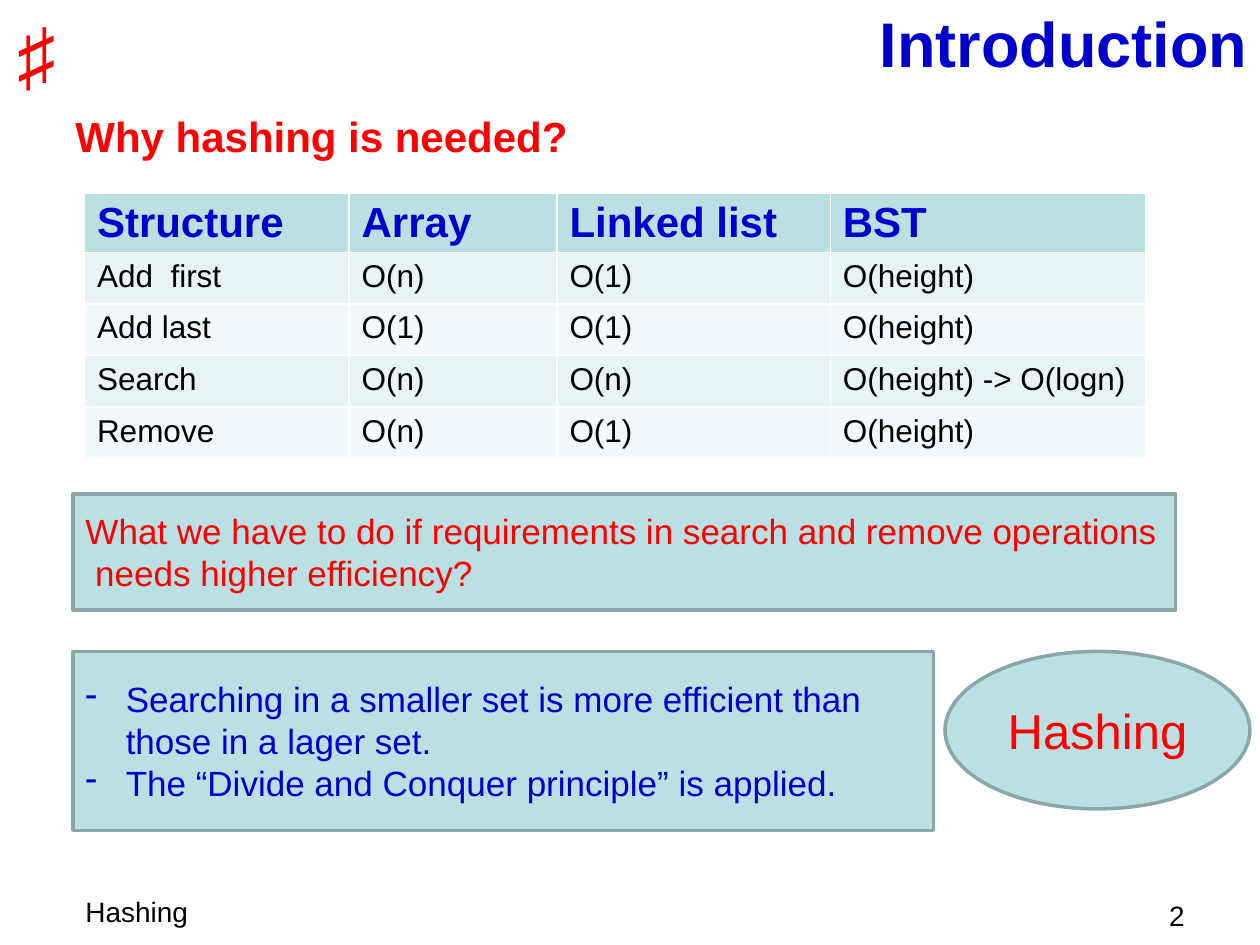
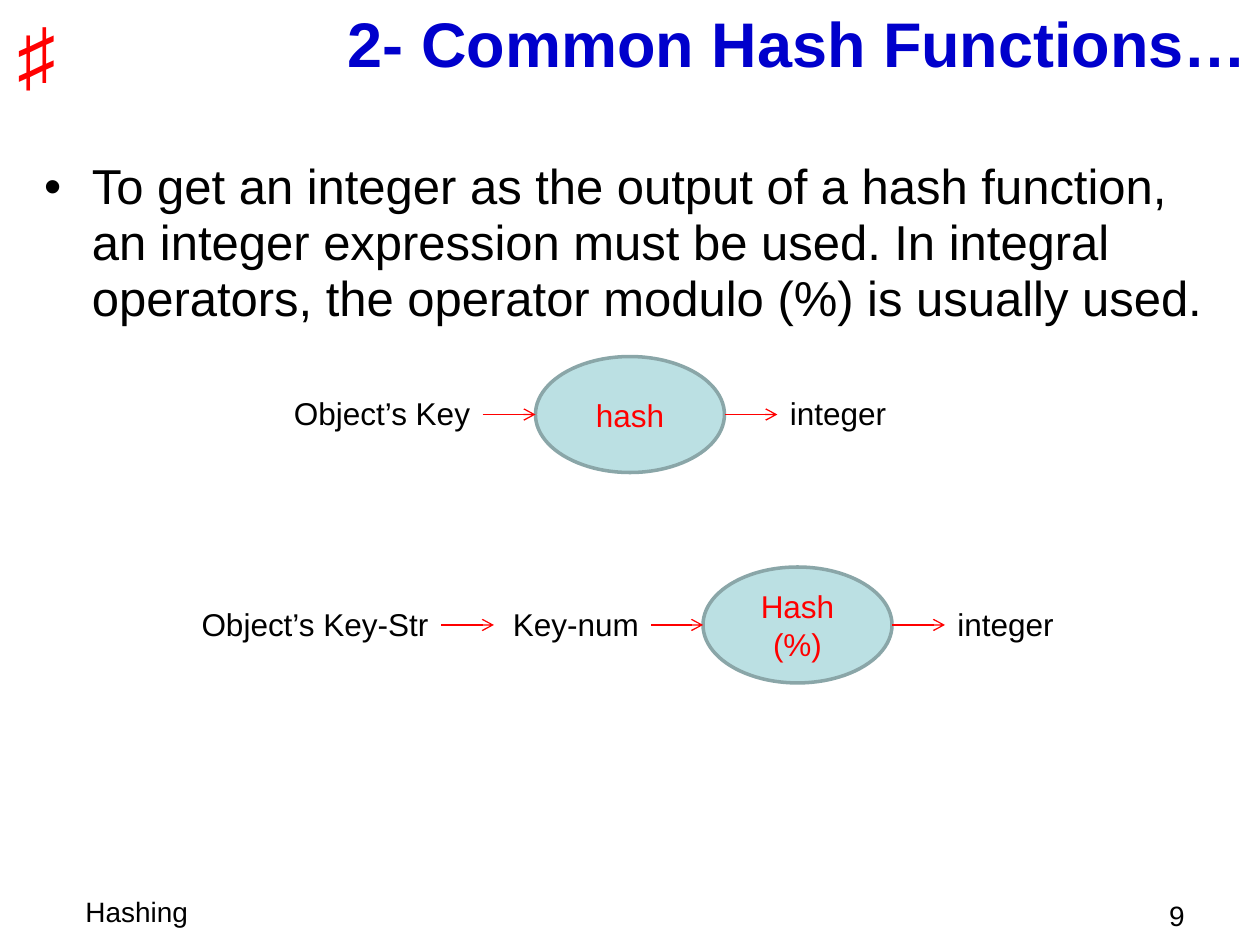
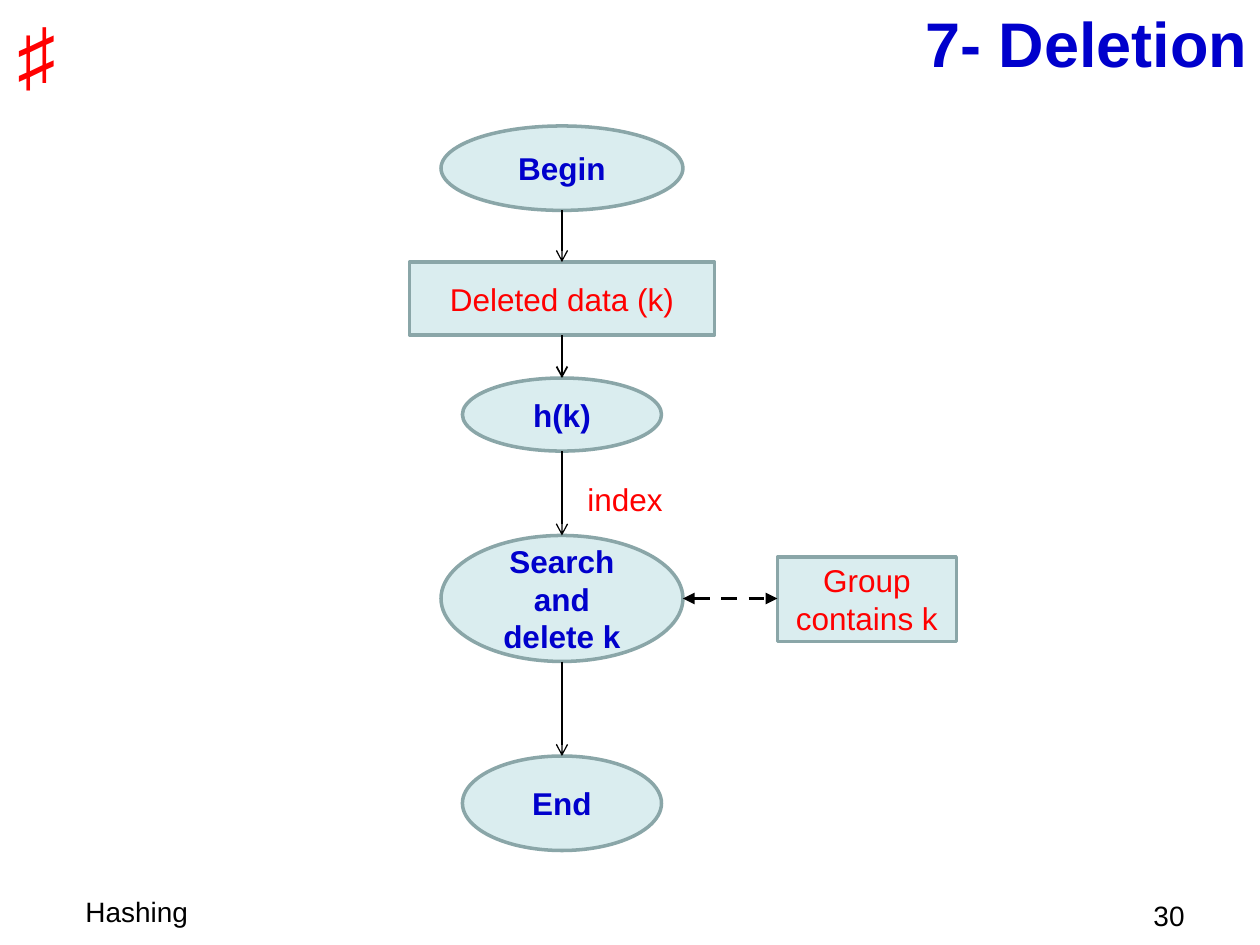
from lxml.etree import SubElement
from pptx import Presentation
from pptx.dml.color import RGBColor
from pptx.enum.dml import MSO_LINE
from pptx.enum.shapes import MSO_CONNECTOR, MSO_SHAPE
from pptx.enum.text import MSO_ANCHOR, MSO_AUTO_SIZE, PP_ALIGN
from pptx.oxml.ns import qn
from pptx.util import Inches, Pt

COLORS = {
    "red": "FF0000", "blue": "0000CC", "black": "000000",
    "teal": "BBE0E3", "pale": "DAEDEF", "edge": "8AA6A8",
    "band_dark": "E7F3F4", "band_light": "F3F9FA",
}
ALIGN = {"l": PP_ALIGN.LEFT, "c": PP_ALIGN.CENTER, "r": PP_ALIGN.RIGHT}
RECT, OVAL = MSO_SHAPE.RECTANGLE, MSO_SHAPE.OVAL
TITLE_ONLY, TITLE_BODY = 5, 1

COMPLEXITY = [
    ("Structure", "Array", "Linked list", "BST"),
    ("Add  first", "O(n)", "O(1)", "O(height)"),
    ("Add last", "O(1)", "O(1)", "O(height)"),
    ("Search", "O(n)", "O(n)", "O(height) -> O(logn)"),
    ("Remove", "O(n)", "O(1)", "O(height)"),
]
COLUMN_WIDTHS = (2.1, 1.65, 2.17, 2.5)
HEADER_HEIGHT, ROW_HEIGHT = 0.47, 0.41
QUESTION = ("What we have to do if requirements in search and remove operations"
            "  needs higher efficiency?")
ANSWERS = [
    "Searching in a smaller set is more efficient than those in a lager set.",
    "The “Divide and Conquer principle” is applied.",
]

MODULO = ("To get an integer as the output of a hash function, an integer expression "
          "must be used. In integral operators, the operator modulo (%) is usually used.")
CHAINS = [
    (3.29, [("Object’s Key", 2.08, 1.75, "r"), ("hash", 4.25, 1.5, "oval"),
            ("integer", 6.17, 1.08, "l")]),
    (4.96, [("Object’s Key-Str", 1.33, 2.17, "r"), ("Key-num", 3.92, 1.25, "r"),
            ("Hash (%)", 5.58, 1.5, "oval"), ("integer", 7.5, 1.08, "l")]),
]

FLOW_CENTER = 4.46
FLOW = [
    ("Begin", OVAL, 1, 1.92, 0.67),
    ("Deleted data (k)", RECT, 2.08, 2.42, 0.58),
    ("h(k)", OVAL, 3, 1.58, 0.58),
    ("Search and delete k", OVAL, 4.25, 1.92, 1),
    ("End", OVAL, 6, 1.58, 0.75),
]


def rgb(name):
    return RGBColor.from_string(COLORS[name])


def write(tf, text, size=18, color="black", bold=False, font="Arial", align="l",
          anchor=MSO_ANCHOR.TOP, bullet=None, indent=0, spacing=None):
    tf.word_wrap = True
    tf.auto_size = MSO_AUTO_SIZE.NONE
    tf.vertical_anchor = anchor
    lines = [text] if isinstance(text, str) else text
    for i, line in enumerate(lines):
        p = tf.paragraphs[0] if i == 0 else tf.add_paragraph()
        p.alignment = ALIGN[align]
        if spacing:
            p.line_spacing = spacing
        if bullet:
            pPr = p._p.get_or_add_pPr()
            pPr.set("marL", str(Inches(indent)))
            pPr.set("indent", str(-Inches(indent)))
            SubElement(pPr, qn("a:buChar"), char=bullet)
        r = p.add_run()
        r.text = line
        r.font.name, r.font.size, r.font.bold = font, Pt(size), bold
        r.font.color.rgb = rgb(color)


def place(sp, box):
    sp.left, sp.top, sp.width, sp.height = map(Inches, box)


def add_text(shapes, text, box, **fmt):
    write(shapes.add_textbox(*map(Inches, box)).text_frame, text, **fmt)


def add_box(shapes, kind, text, box, fill="teal", **fmt):
    sp = shapes.add_shape(kind, *map(Inches, box))
    sp.shadow.inherit = False
    sp.fill.solid()
    sp.fill.fore_color.rgb = rgb(fill)
    sp.line.color.rgb = rgb("edge")
    sp.line.width = Pt(2)
    write(sp.text_frame, text, anchor=MSO_ANCHOR.MIDDLE, **fmt)


def add_arrow(shapes, start, end, color="black", width=0.75, dash=None,
              head=None, tail="arrow"):
    line = shapes.add_connector(MSO_CONNECTOR.STRAIGHT, *map(Inches, start + end))
    line.line.color.rgb = rgb(color)
    line.line.width = Pt(width)
    if dash:
        line.line.dash_style = dash
    ln = line.line._get_or_add_ln()
    for tag, tip in (("a:headEnd", head), ("a:tailEnd", tail)):
        if tip:
            SubElement(ln, qn(tag), type=tip)
    SubElement(line._element.spPr, qn("a:effectLst"))


def add_slide(prs, title, number, layout=TITLE_ONLY, title_left=1):
    s = prs.slides.add_slide(prs.slide_layouts[layout])
    place(s.shapes.title, (title_left, 0, 10 - title_left, 0.67))
    write(s.shapes.title.text_frame, title, size=36, color="blue", bold=True,
          align="r", anchor=MSO_ANCHOR.MIDDLE)
    add_text(s.shapes, "Hashing", (0.58, 7.05, 5.67, 0.37), size=16)
    add_text(s.shapes, "♯", (0, 0, 0.58, 0.84), size=44, color="red",
             font="Times New Roman", align="c")
    add_text(s.shapes, str(number), (8.83, 7.08, 0.67, 0.25), size=16, align="r")
    return s


def add_complexity_table(shapes):
    height = HEADER_HEIGHT + ROW_HEIGHT * (len(COMPLEXITY) - 1)
    box = (0.67, 1.53, sum(COLUMN_WIDTHS), height)
    table = shapes.add_table(len(COMPLEXITY), len(COLUMN_WIDTHS),
                             *map(Inches, box)).table
    for column, width in zip(table.columns, COLUMN_WIDTHS):
        column.width = Inches(width)
    for i, values in enumerate(COMPLEXITY):
        table.rows[i].height = Inches(ROW_HEIGHT if i else HEADER_HEIGHT)
        fill = ("band_dark" if i % 2 else "band_light") if i else "teal"
        fmt = {} if i else dict(size=24, color="blue", bold=True)
        for j, value in enumerate(values):
            cell = table.cell(i, j)
            cell.fill.solid()
            cell.fill.fore_color.rgb = rgb(fill)
            write(cell.text_frame, value, **fmt)


def build_introduction(prs):
    shapes = add_slide(prs, "Introduction", 2).shapes
    add_complexity_table(shapes)
    add_box(shapes, RECT, QUESTION, (0.58, 3.92, 8.75, 0.92), size=20, color="red")
    add_box(shapes, OVAL, "Hashing", (7.5, 5.17, 2.42, 1.25), size=28,
            color="red", align="c")
    add_box(shapes, RECT, ANSWERS, (0.58, 5.17, 6.83, 1.42), size=20,
            color="blue", bullet="-", indent=0.32)
    add_text(shapes, "Why hashing is needed?", (0.5, 0.83, 4.58, 0.5), size=24,
             color="red", bold=True)


def build_hash_functions(prs):
    s = add_slide(prs, "2- Common Hash Functions…", 9, TITLE_BODY)
    body = s.placeholders[1]
    place(body, (0.25, 1.22, 9.5, 1.62))
    write(body.text_frame, MODULO, size=28, bullet="•", indent=0.38, spacing=0.95)
    for middle, nodes in CHAINS:
        shapes = s.shapes.add_group_shape().shapes
        for text, left, width, kind in nodes:
            if kind == "oval":
                add_box(shapes, OVAL, text, (left, middle - 0.46, width, 0.92),
                        color="red", align="c")
            else:
                add_text(shapes, text, (left, middle - 0.21, width, 0.4), align=kind)
        for (_, left, width, _), following in zip(nodes, nodes[1:]):
            add_arrow(shapes, (left + width, middle), (following[1], middle), "red")


def build_deletion(prs):
    shapes = add_slide(prs, "7- Deletion", 30, title_left=0.5).shapes
    for text, kind, top, width, height in FLOW:
        add_box(shapes, kind, text, (FLOW_CENTER - width / 2, top, width, height),
                fill="pale", align="c", bold=kind == OVAL,
                color="blue" if kind == OVAL else "red")
    add_box(shapes, RECT, "Group contains k", (6.17, 4.42, 1.42, 0.67),
            fill="pale", color="red", align="c")
    add_text(shapes, "index", (4.42, 3.75, 1.08, 0.42), color="red", align="c",
             anchor=MSO_ANCHOR.MIDDLE)
    for (_, kind, top, _, height), following in zip(FLOW, FLOW[1:]):
        add_arrow(shapes, (FLOW_CENTER, top + height), (FLOW_CENTER, following[2]),
                  width=1 if kind == RECT else 0.75)
    add_arrow(shapes, (5.42, 4.75), (6.17, 4.75), width=2.25, dash=MSO_LINE.DASH,
              head="triangle", tail="triangle")


def main():
    prs = Presentation()
    prs.slide_width, prs.slide_height = Inches(10), Inches(7.5)
    build_introduction(prs)
    build_hash_functions(prs)
    build_deletion(prs)
    prs.save("out.pptx")


if __name__ == "__main__":
    main()
